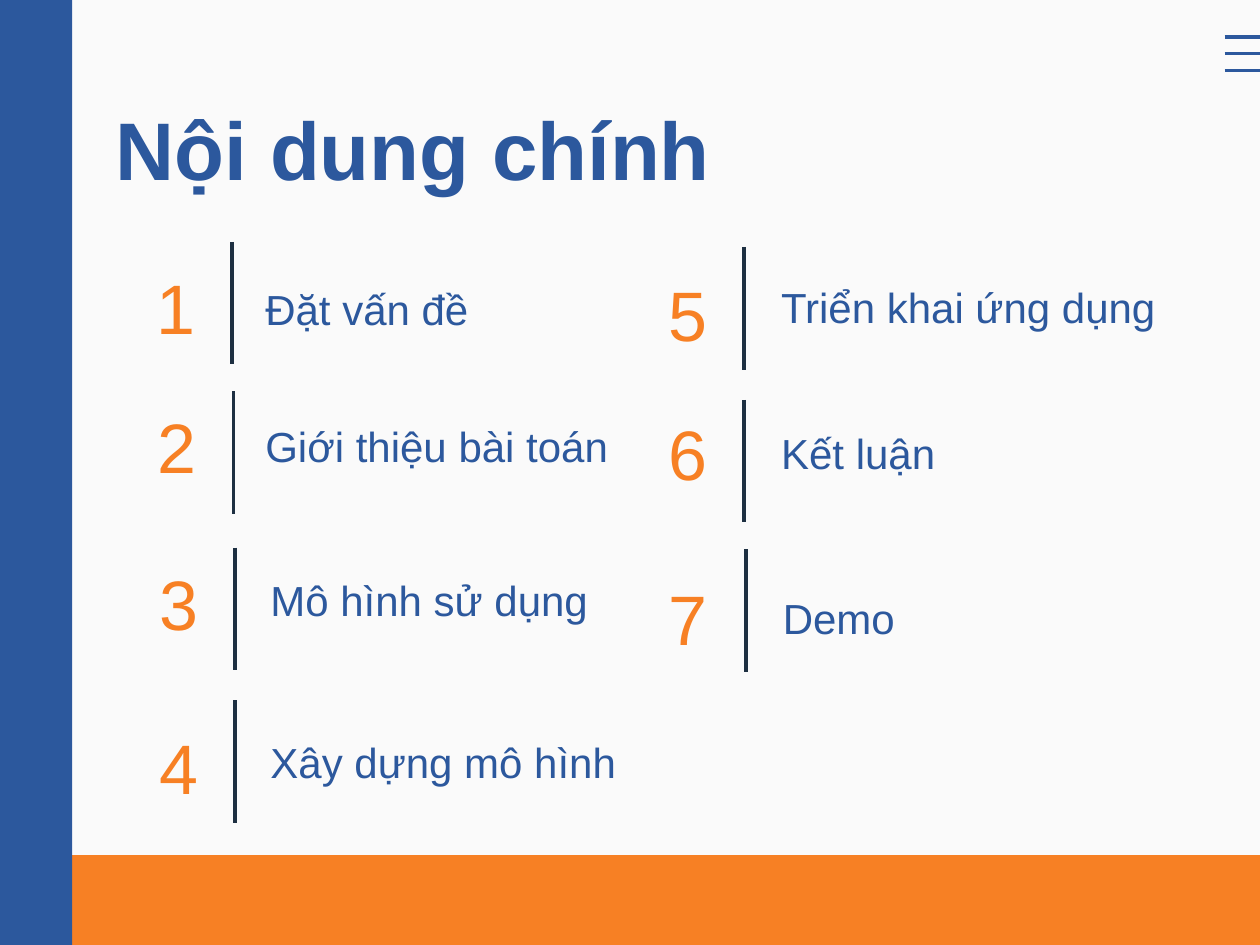
from pptx import Presentation
from pptx.dml.color import RGBColor
from pptx.enum.shapes import MSO_CONNECTOR, MSO_SHAPE
from pptx.enum.text import MSO_ANCHOR, PP_ALIGN
from pptx.oxml.ns import qn
from pptx.util import Inches, Pt
from lxml import etree

BLUE = RGBColor(0x2C, 0x58, 0x9D)
ORANGE = RGBColor(0xF7, 0x80, 0x24)
NAVY = RGBColor(0x1D, 0x2F, 0x41)
PAPER = RGBColor(0xFA, 0xFA, 0xFA)


def add_line(x1, y1, x2, y2, color):
    line = s.shapes.add_connector(MSO_CONNECTOR.STRAIGHT, Inches(x1), Inches(y1),
                                  Inches(x2), Inches(y2))
    line.line.color.rgb = color
    line.line.width = Pt(1.5)
    etree.SubElement(line._element.spPr, qn("a:effectLst"))


def write(sp, text, size, color, anchor=MSO_ANCHOR.MIDDLE, align=PP_ALIGN.LEFT, bold=False):
    tf = sp.text_frame
    tf.word_wrap = True
    tf.vertical_anchor = anchor
    tf.margin_left = tf.margin_right = tf.margin_top = tf.margin_bottom = Inches(0.07)
    p = tf.paragraphs[0]
    p.text = text
    p.alignment = align
    p.font.name = "Arial"
    p.font.size = Pt(size)
    p.font.bold = bold
    p.font.color.rgb = color


prs = Presentation()
prs.slide_width, prs.slide_height = Inches(7.5), Inches(7.5 * 3 / 4)
s = prs.slides.add_slide(prs.slide_layouts[5])
s.background.fill.solid()
s.background.fill.fore_color.rgb = PAPER

# Side and bottom bands
for x, y, w, h, color in [(0.43, 5.09, 7.07, 0.54, ORANGE), (-0.02, -0.07, 0.45, 5.7, BLUE)]:
    band = s.shapes.add_shape(MSO_SHAPE.RECTANGLE, Inches(x), Inches(y), Inches(w), Inches(h))
    band.shadow.inherit = False
    band.fill.solid()
    band.fill.fore_color.rgb = color
    band.line.fill.background()

# Menu icon
for i in range(3):
    y = 0.22 + 0.1 * i
    add_line(7.29, y, 7.56, y, BLUE)

title = s.shapes.title
title.left, title.top, title.width, title.height = (
    Inches(0.62), Inches(0.52), Inches(6.32), Inches(0.47))
write(title, "Nội dung chính", 35, BLUE, anchor=MSO_ANCHOR.TOP, bold=True)

# Agenda: label, number left/top, divider x/top, label left/top/width/height
agenda = [
    ("Đặt vấn đề", 0.7, 1.59, 1.38, 1.44, 1.51, 1.48, 2.23, 0.71),
    ("Giới thiệu bài toán", 0.71, 2.42, 1.39, 2.33, 1.51, 2.29, 2.23, 0.73),
    ("Mô hình sử dụng", 0.72, 3.35, 1.4, 3.26, 1.54, 3.15, 2.23, 0.84),
    ("Xây dựng mô hình", 0.72, 4.33, 1.4, 4.17, 1.54, 4.12, 2.23, 0.83),
    ("Triển khai ứng dụng", 3.75, 1.63, 4.43, 1.47, 4.58, 1.41, 2.54, 0.83),
    ("Kết luận", 3.75, 2.46, 4.43, 2.38, 4.58, 2.33, 2.23, 0.73),
    ("Demo", 3.75, 3.44, 4.44, 3.27, 4.59, 3.31, 2.23, 0.73),
]
for n, (label, num_x, num_y, line_x, line_y, x, y, w, h) in enumerate(agenda, 1):
    number = s.shapes.add_textbox(Inches(num_x), Inches(num_y), Inches(0.69), Inches(0.47))
    write(number, str(n), 30, ORANGE, align=PP_ALIGN.CENTER)
    add_line(line_x, line_y, line_x, line_y + 0.73, NAVY)
    topic = s.shapes.add_textbox(Inches(x), Inches(y), Inches(w), Inches(h))
    write(topic, label, 18, BLUE)

prs.save("out.pptx")
